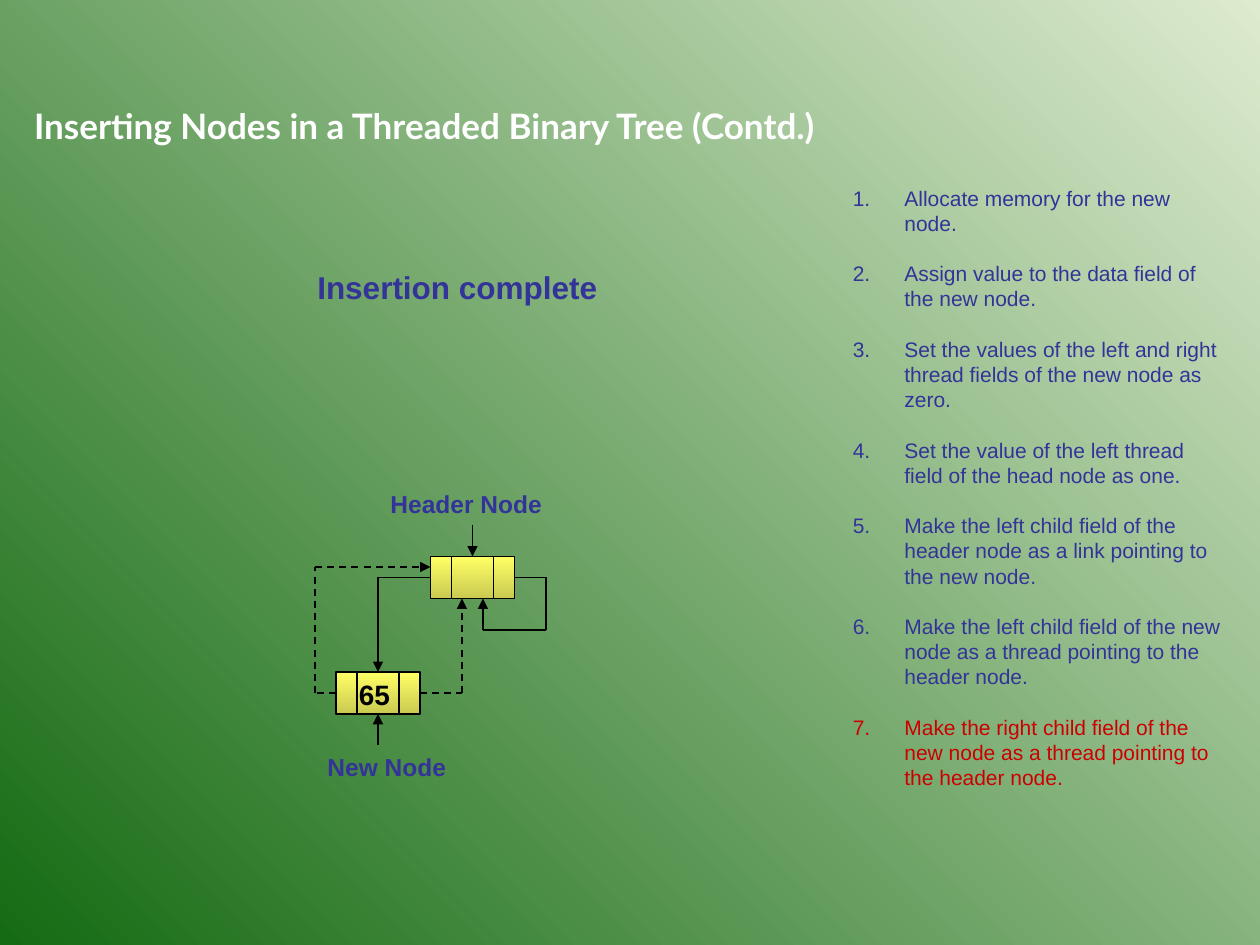
"""Build the slide on inserting nodes in a threaded binary tree."""
from lxml import etree
from pptx import Presentation
from pptx.dml.color import RGBColor
from pptx.enum.dml import MSO_LINE
from pptx.enum.shapes import MSO_CONNECTOR, MSO_SHAPE
from pptx.enum.text import MSO_ANCHOR, MSO_AUTO_SIZE, PP_ALIGN
from pptx.oxml.ns import qn
from pptx.util import Inches, Pt

STRAIGHT = MSO_CONNECTOR.STRAIGHT
RECT = MSO_SHAPE.RECTANGLE
DASH = MSO_LINE.DASH
TOP = MSO_ANCHOR.TOP
LEFT = PP_ALIGN.LEFT
NO_FIT = MSO_AUTO_SIZE.NONE

PALE_GREEN = RGBColor(0xDD, 0xEB, 0xCF)
DARK_GREEN = RGBColor(0x15, 0x6B, 0x13)
YELLOW = RGBColor(0xFF, 0xFF, 0x66)
OLIVE = RGBColor(0xCA, 0xCA, 0x51)
BLUE = RGBColor(0x33, 0x33, 0x99)
RED = RGBColor(0xCC, 0x00, 0x00)
BLACK = RGBColor(0x00, 0x00, 0x00)
WHITE = RGBColor(0xFF, 0xFF, 0xFF)

STEPS = [
    "Allocate memory for the new node.",
    "Assign value to the data field of the new node.",
    "Set the values of the left and right thread fields of the new node as zero.",
    "Set the value of the left thread field of the head node as one.",
    "Make the left child field of the header node as a link pointing to the new node.",
    "Make the left child field of the new node as a thread pointing to the header node.",
    "Make the right child field of the new node as a thread pointing to the header node.",
]
GRID = 12
NODES = [(41, 53), (32, 64)]
NODE_W, NODE_H = 8, 4
DIVIDERS = (2, 6)
SOLID_LINES = [
    (49, 55, 52, 55, 1, False),
    (52, 55, 52, 60, 1, False),
    (46, 60, 52, 60, 0.75, False),
    (46, 60, 46, 57, 1, True),
    (45, 50, 45, 53, 1, True),
    (36, 71, 36, 68, 0.75, True),
    (41, 55, 36, 55, 0.75, False),
    (36, 55, 36, 64, 0.75, True),
]
THREADS = [
    [(32, 66), (30, 66), (30, 54), (41, 54)],
    [(40, 66), (44, 66), (44, 57)],
]
LABELS = [
    ("Header Node", 3, 3.83, 1.58, 0.34, 14, BLUE),
    ("New Node", 2.5, 5.92, 1.42, 0.34, 14, BLUE),
    ("65", 2.75, 5.33, 0.5, 0.37, 16, BLACK),
    ("Insertion complete", 2.42, 2.08, 2.83, 0.4, 18, BLUE),
]


def set_gradient(fill, start, end, angle):
    fill.gradient()
    fill.gradient_angle = angle
    for stop, color, position in zip(fill.gradient_stops, (start, end), (0, 1)):
        stop.color.rgb = color
        stop.position = position


def add_line(x1, y1, x2, y2, width=1, arrow=False, dash=None):
    ends = [Inches(v / GRID) for v in (x1, y1, x2, y2)]
    line = s.shapes.add_connector(STRAIGHT, *ends)
    line.line.color.rgb = BLACK
    line.line.width = Pt(width)
    if dash:
        line.line.dash_style = dash
    sp_pr = line._element.spPr
    if arrow:
        etree.SubElement(sp_pr.find(qn("a:ln")), qn("a:tailEnd"), type="triangle")
    etree.SubElement(sp_pr, qn("a:effectLst"))


prs = Presentation()
prs.slide_width, prs.slide_height = Inches(10), Inches(7.5)
s = prs.slides.add_slide(prs.slide_layouts[5])
set_gradient(s.background.fill, PALE_GREEN, DARK_GREEN, 225)

title = s.shapes.title
title.left, title.top = Inches(0.17), Inches(0.78)
title.width, title.height = Inches(9.83), Inches(0.44)
tf = title.text_frame
tf.auto_size = NO_FIT
tf.vertical_anchor = TOP
p = tf.paragraphs[0]
p.alignment = LEFT
r = p.add_run()
r.text = "Inserting Nodes in a Threaded Binary Tree (Contd.)"
r.font.name, r.font.size, r.font.bold = "Lato", Pt(20), True
r.font.color.rgb = WHITE

steps_box = s.shapes.add_textbox(Inches(6.67), Inches(1.42), Inches(3.17), Inches(4.9))
tf = steps_box.text_frame
tf.word_wrap = True
for i, step in enumerate(STEPS):
    color = RED if i == len(STEPS) - 1 else BLUE
    p = tf.add_paragraph() if i else tf.paragraphs[0]
    p.line_spacing = Pt(14.4)
    p.space_before = Pt(14.4 if i else 0)
    p_pr = p._p.get_or_add_pPr()
    p_pr.set("marL", str(Inches(0.41)))
    p_pr.set("indent", str(-Inches(0.41)))
    bullet_color = etree.SubElement(p_pr, qn("a:buClr"))
    etree.SubElement(bullet_color, qn("a:srgbClr"), val=str(color))
    etree.SubElement(p_pr, qn("a:buFont"), typeface="Arial")
    etree.SubElement(p_pr, qn("a:buAutoNum"), type="arabicPeriod")
    r = p.add_run()
    r.text = step
    r.font.name, r.font.size = "Arial", Pt(12)
    r.font.color.rgb = color

for x, y in NODES:
    node = s.shapes.add_shape(RECT, *[Inches(v / GRID) for v in (x, y, NODE_W, NODE_H)])
    node.shadow.inherit = False
    set_gradient(node.fill, YELLOW, OLIVE, 270)
    node.line.color.rgb = BLACK
    node.line.width = Pt(1)
    for dx in DIVIDERS:
        add_line(x + dx, y, x + dx, y + NODE_H)

for line in SOLID_LINES:
    add_line(*line)

for points in THREADS:
    for start, end in zip(points, points[1:]):
        add_line(*start, *end, arrow=end == points[-1], dash=DASH)

for text, x, y, w, h, size, color in LABELS:
    label = s.shapes.add_textbox(Inches(x), Inches(y), Inches(w), Inches(h))
    tf = label.text_frame
    tf.word_wrap = True
    r = tf.paragraphs[0].add_run()
    r.text = text
    r.font.name, r.font.size, r.font.bold = "Arial", Pt(size), True
    r.font.color.rgb = color

prs.save("out.pptx")
